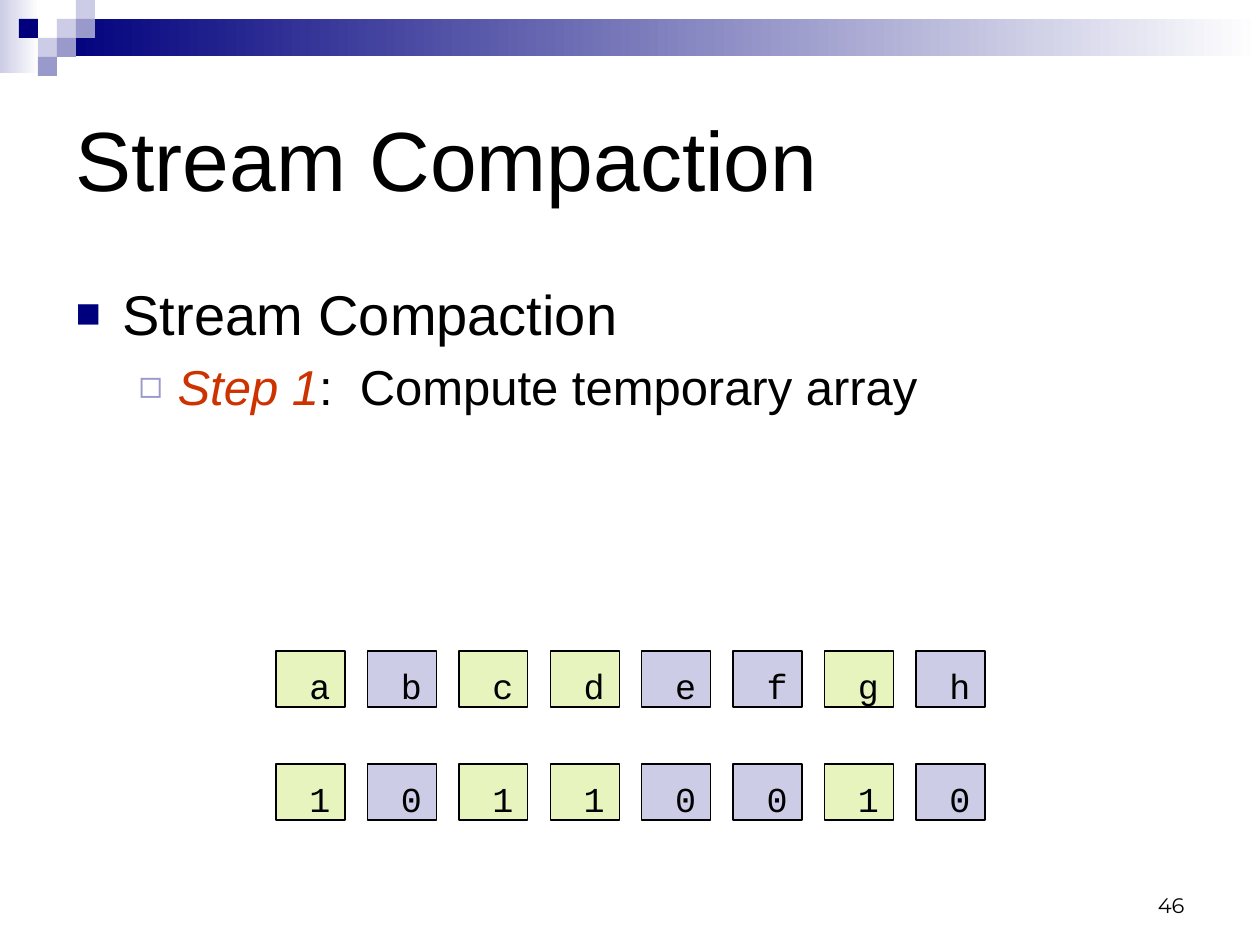
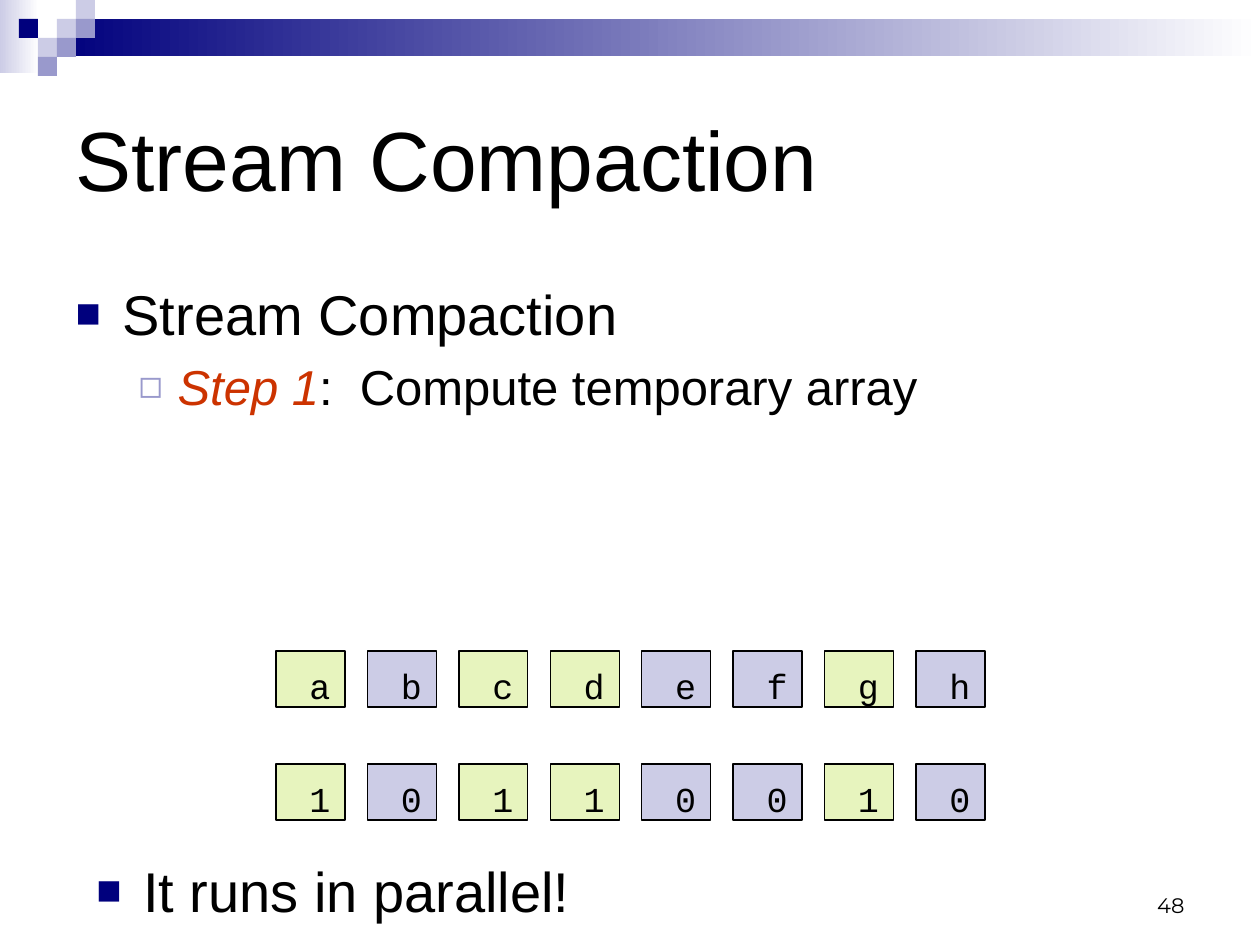
from lxml.etree import SubElement
from pptx import Presentation
from pptx.dml.color import RGBColor as Rgb
from pptx.enum.shapes import MSO_SHAPE as Preset
from pptx.enum.text import MSO_ANCHOR as Anchor, MSO_AUTO_SIZE as Fit, PP_ALIGN as Align
from pptx.oxml.ns import qn
from pptx.util import Emu, Pt

COLORS = {"navy": "00007D", "mid": "9999CC", "pale": "CCCCE6", "lime": "E7F4BE",
          "red": "CC3300", "black": "000000", "white": "FFFFFF"}
SCALE = 914400 / 126
SQUARE = 19
SQUARES = [(3, 1, "pale"), (4, 0, "pale"), (4, 1, "mid"), (2, 2, "pale"),
           (1, 1, "navy"), (3, 2, "mid"), (2, 3, "mid")]
LEVELS = [{"size": 32, "left": 47, "hang": 47, "mark": "■", "color": "navy", "percent": 75},
          {"size": 28, "left": 102, "hang": 39, "mark": "◻", "color": "mid", "percent": 80}]
LETTERS, FLAGS = "abcdefgh", "10110010"


def px(length):
    return Emu(round(length * SCALE))


def rgb(name):
    return Rgb.from_string(COLORS[name])


def apply(target, values):
    for name, value in values.items():
        setattr(target, name, value)


class Deck:
    """Hold the shared style and draw elements on the current slide."""

    def __init__(self):
        self.deck = Presentation()
        apply(self.deck, {"slide_width": px(1260), "slide_height": px(945)})
        self.layout = self.deck.slide_layouts[1]
        self.page = None

    def add_page(self):
        self.page = self.deck.slides.add_slide(self.layout)

    def place(self, box, left, top, width, height):
        apply(box, {"left": px(left), "top": px(top), "width": px(width), "height": px(height)})

    def textbox(self, *area):
        return self.page.shapes.add_textbox(*map(px, area))

    def frame(self, box, **values):
        apply(box.text_frame, {"word_wrap": True, "auto_size": Fit.NONE} | values)
        return box.text_frame

    def span(self, para, text, size, font="Arial", color="black", italic=False):
        span = para.add_run()
        span.text = text
        apply(span.font, {"size": Pt(size), "name": font, "italic": italic})
        span.font.color.rgb = rgb(color)

    def rectangle(self, area, color, fade=False, outline=False):
        box = self.page.shapes.add_shape(Preset.RECTANGLE, *map(px, area))
        box.shadow.inherit = False
        if fade:
            box.fill.gradient()
            box.fill.gradient_angle = 0
            for stop, name in zip(box.fill.gradient_stops, (color, "white")):
                stop.color.rgb = rgb(name)
        else:
            box.fill.solid()
            box.fill.fore_color.rgb = rgb(color)
        if outline:
            box.line.color.rgb = rgb("black")
            box.line.width = Pt(0.75)
        else:
            box.line.fill.background()
        return box

    def banner(self):
        parts = [self.rectangle((0, 0, 39, 73), "pale", fade=True),
                 self.rectangle((57, 19, 1203, 37), "navy", fade=True)]
        parts += [self.rectangle((column * SQUARE, row * SQUARE, SQUARE, SQUARE), color)
                  for column, row, color in SQUARES]
        for index, part in enumerate(parts):
            part.element.nvSpPr.cNvPr.set("id", str(100 + index))
            self.layout.shapes.element.insert(2 + index, part.element)

    def title(self, text):
        box = self.page.shapes.title
        self.place(box, 63, 63, 1134, 189)
        para = self.frame(box, vertical_anchor=Anchor.MIDDLE).paragraphs[0]
        para.alignment = Align.LEFT
        self.span(para, text, 48)

    def bullet(self, para, level, *spans):
        style = LEVELS[level]
        apply(para, {"level": level, "space_before": Pt(style["size"] * 0.2)})
        props = para._p.get_or_add_pPr()
        props.set("marL", str(px(style["left"])))
        props.set("indent", str(-px(style["hang"])))
        tint = SubElement(props, qn("a:buClr"))
        SubElement(tint, qn("a:srgbClr"), val=COLORS[style["color"]])
        SubElement(props, qn("a:buSzPct"), val=str(style["percent"] * 1000))
        SubElement(props, qn("a:buFont"), typeface="Arial")
        SubElement(props, qn("a:buChar"), char=style["mark"])
        for text, values in spans:
            self.span(para, text, style["size"], **values)

    def body(self, heading, step, text):
        box = self.page.placeholders[1]
        self.place(box, 63, 273, 1176, 536)
        frame = self.frame(box, vertical_anchor=Anchor.TOP)
        self.bullet(frame.paragraphs[0], 0, (heading, {}))
        self.bullet(frame.add_paragraph(), 1,
                    (step, {"color": "red", "italic": True}), (text, {}))

    def cells(self, top, values):
        for index, (value, flag) in enumerate(zip(values, FLAGS)):
            area = (276 + index * 640 / 7, top, 69, 56)
            box = self.rectangle(area, "lime" if flag == "1" else "pale", outline=True)
            frame = self.frame(box, word_wrap=False, vertical_anchor=Anchor.TOP,
                               margin_top=px(13), margin_bottom=px(3))
            frame.paragraphs[0].alignment = Align.LEFT
            self.span(frame.paragraphs[0], f" {value}", 20, "Courier New")

    def remark(self, text):
        box = self.textbox(84, 850, 1134, 105)
        self.bullet(self.frame(box).paragraphs[0], 0, (text, {}))

    def number(self, value):
        box = self.textbox(903, 861, 294, 63)
        para = self.frame(box, vertical_anchor=Anchor.BOTTOM).paragraphs[0]
        para.alignment = Align.RIGHT
        self.span(para, str(value), 12, "Montserrat")


show = Deck()
for number, remark in [(46, None), (48, "It runs in parallel!")]:
    show.add_page()
    if number == 46:
        show.banner()
    show.title("Stream Compaction")
    show.body("Stream Compaction", "Step 1", ":  Compute temporary array")
    show.cells(651, LETTERS)
    show.cells(764, FLAGS)
    if remark:
        show.remark(remark)
    show.number(number)
show.deck.save("out.pptx")
